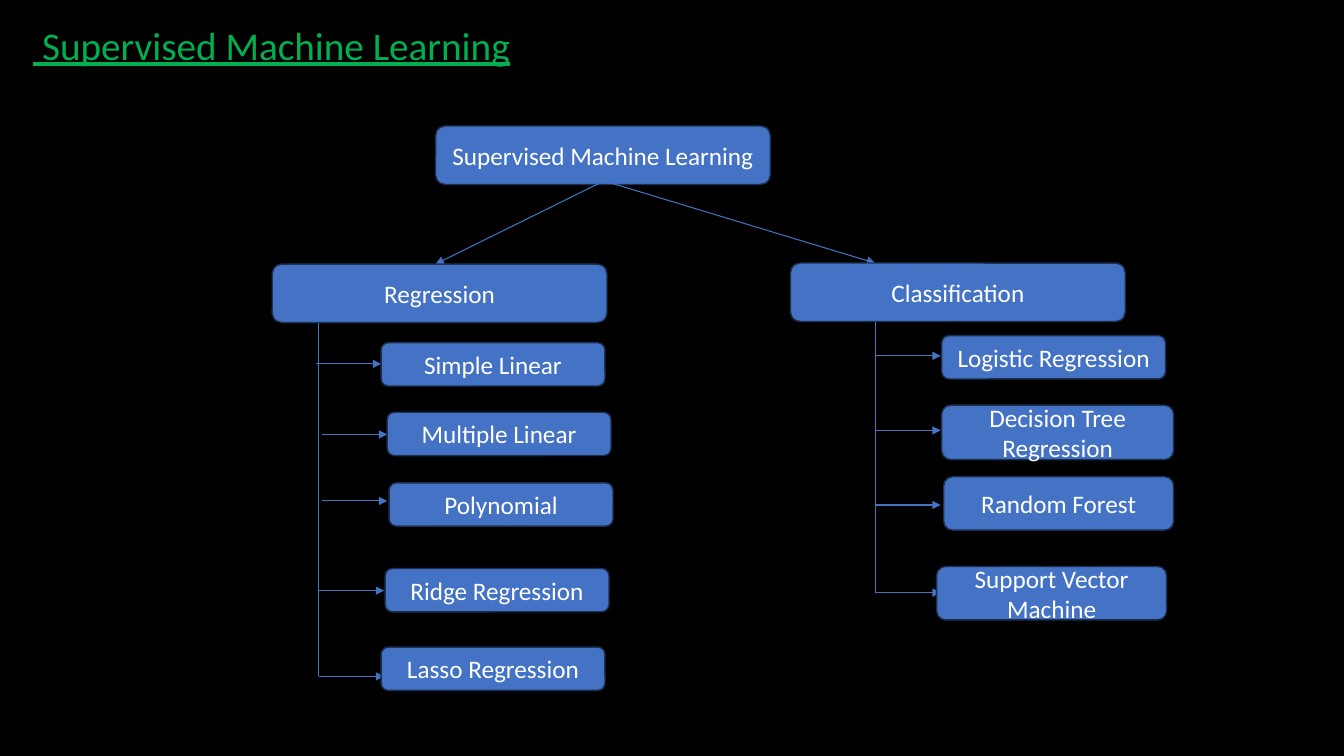
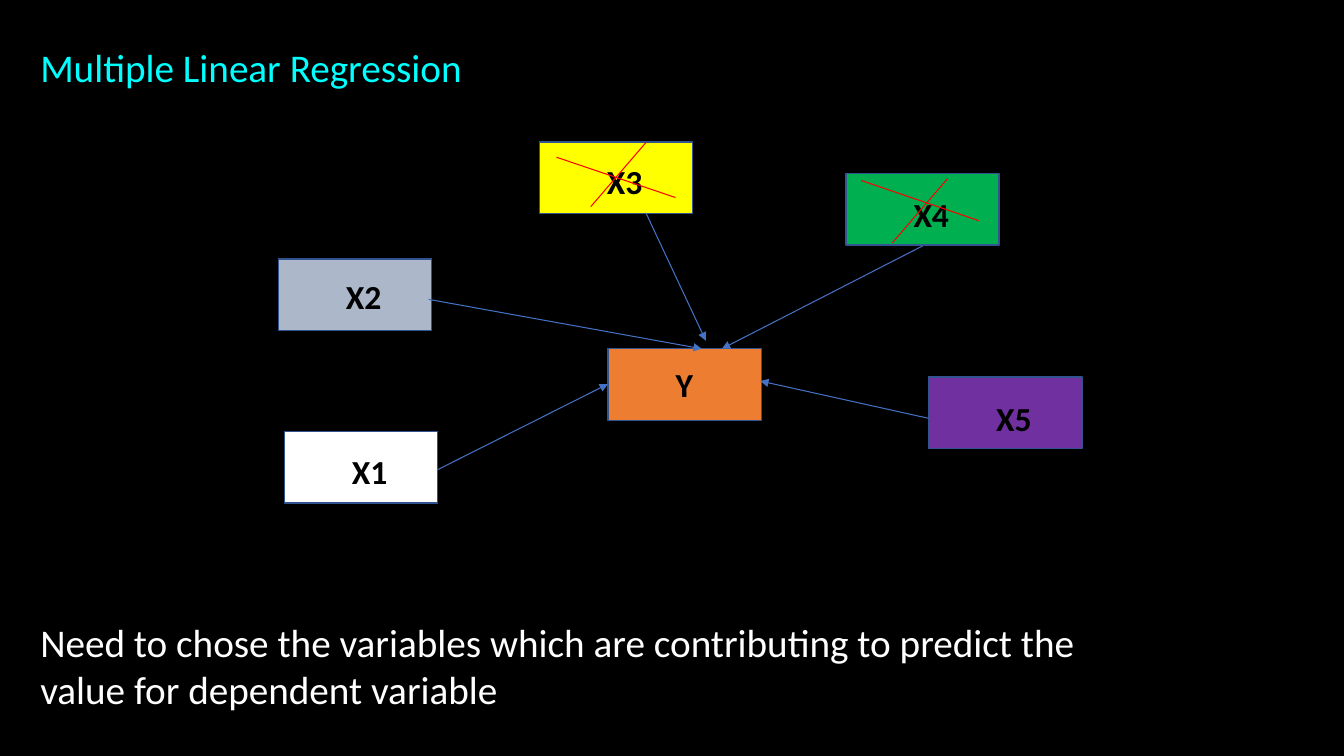
from dataclasses import dataclass

from lxml import etree
from pptx import Presentation
from pptx.dml.color import RGBColor
from pptx.enum.shapes import MSO_CONNECTOR, MSO_SHAPE
from pptx.enum.text import MSO_ANCHOR, PP_ALIGN
from pptx.oxml.ns import qn
from pptx.shapes.autoshape import Shape
from pptx.slide import Slide
from pptx.text.text import TextFrame
from pptx.util import Inches, Pt

ROUND, RECT = MSO_SHAPE.ROUNDED_RECTANGLE, MSO_SHAPE.RECTANGLE
STRAIGHT = MSO_CONNECTOR.STRAIGHT
TOP, MIDDLE = MSO_ANCHOR.TOP, MSO_ANCHOR.MIDDLE
LEFT, CENTER = PP_ALIGN.LEFT, PP_ALIGN.CENTER

FONT = "Calibri"
BLACK, WHITE, BLUE, RED = "000000", "FFFFFF", "4472C4", "FF0000"
GREEN, CYAN = "00B050", "00FFFF"
NODE_EDGE, CARD_EDGE = "1C3052", "31538F"
TITLE_SIZE = 28

HEAD_W, HEAD_H = 3.32, 0.58
LEAF_W, LEAF_H = 2.22, 0.43
TWIG = 0.65
CARD_W, CARD_H, CARD_PAD = 1.52, 0.71, 0.67


@dataclass(frozen=True)
class Leaf:
    """A tree box and the start of the arrow that points to it."""
    text: str
    left: float
    top: float
    start: float
    level: float
    width: float = LEAF_W
    height: float = LEAF_H


@dataclass(frozen=True)
class Branch:
    text: str
    left: float
    top: float
    tip: float
    fork: float
    trunk: float
    leaves: tuple[Leaf, ...]


@dataclass(frozen=True)
class Card:
    """A variable box; drop is the space above its label."""
    text: str
    left: float
    top: float
    fill: str
    drop: float


@dataclass(frozen=True)
class Line:
    x1: float
    y1: float
    x2: float
    y2: float


ROOT = (4.32, 1.25)
FORK = 1.81
BRANCHES = (
    Branch("Regression", 2.7, 2.62, 4.32, 5.96, 3.16, (
        Leaf("Simple Linear", 3.78, 3.4, 3.13, 3.61),
        Leaf("Multiple Linear", 3.84, 4.09, 3.19, 4.31),
        Leaf("Polynomial", 3.86, 4.79, 3.19, 4.97),
        Leaf("Ridge Regression", 3.82, 5.64, 3.16, 5.86),
        Leaf("Lasso Regression", 3.78, 6.42, 3.16, 6.71),
    )),
    Branch("Classification", 7.84, 2.61, 8.68, 6.04, 8.68, (
        Leaf("Logistic Regression", 9.34, 3.33, 8.68, 3.53),
        Leaf("Decision Tree Regression", 9.34, 4.02, 8.68, 4.27, 2.3, 0.54),
        Leaf("Random Forest", 9.36, 4.73, 8.68, 5.01, 2.28, 0.53),
        Leaf("Support Vector Machine", 9.29, 5.62, 8.68, 5.88, 2.28, 0.53),
    )),
)

CARDS = (
    Card("X2", 2.76, 2.57, "ACB8CA", 0.17),
    Card("Y", 6.03, 3.46, "ED7D31", 0.15),
    Card("X5", 9.21, 3.74, "7030A0", 0.21),
    Card("X4", 8.39, 1.72, GREEN, 0.2),
    Card("X3", 5.35, 1.41, "FFFF00", 0.19),
    Card("X1", 2.82, 4.28, WHITE, 0.19),
)
ARROWS = (
    Line(9.15, 2.44, 7.16, 3.46),
    Line(6.41, 2.12, 7, 3.38),
    Line(4.25, 2.97, 6.96, 3.46),
    Line(4.34, 4.66, 6.03, 3.81),
    Line(9.21, 4.15, 7.54, 3.78),
)
STRIKES = (
    Line(8.54, 1.79, 9.71, 2.19),
    Line(6.41, 1.41, 5.86, 2.05),
    Line(9.4, 1.77, 8.85, 2.41),
    Line(5.52, 1.56, 6.7, 1.96),
)


def rgb(code: str) -> RGBColor:
    return RGBColor.from_string(code)


def pad(frame: TextFrame, x: float, y: float) -> None:
    """Set the side and the top and bottom insets."""
    frame.margin_left = frame.margin_right = Inches(x)
    frame.margin_top = frame.margin_bottom = Inches(y)


def write(frame: TextFrame, text: str, size: int, color: str,
          bold: bool = False, line: bool = False) -> None:
    """Add one run to the first paragraph; line underlines it."""
    run = frame.paragraphs[0].add_run()
    run.text = text
    font = run.font
    font.name, font.size, font.bold = FONT, Pt(size), bold
    font.underline = line
    font.color.rgb = rgb(color)


def add_text(slide: Slide, text: str, left: float, top: float, width: float,
             height: float, color: str, line: bool = False) -> TextFrame:
    box = slide.shapes.add_textbox(
        Inches(left), Inches(top), Inches(width), Inches(height))
    frame = box.text_frame
    frame.word_wrap = True
    pad(frame, 0, 0)
    write(frame, text, TITLE_SIZE, color, line=line)
    return frame


def add_box(slide: Slide, kind: MSO_SHAPE, left: float, top: float,
            width: float, height: float, fill: str, edge: str) -> Shape:
    box = slide.shapes.add_shape(
        kind, Inches(left), Inches(top), Inches(width), Inches(height))
    box.shadow.inherit = False
    box.fill.solid()
    box.fill.fore_color.rgb = rgb(fill)
    box.line.color.rgb = rgb(edge)
    box.line.width = Pt(1)
    box.text_frame.word_wrap = True
    return box


def add_node(slide: Slide, text: str, left: float, top: float,
             width: float = HEAD_W, height: float = HEAD_H) -> None:
    box = add_box(slide, ROUND, left, top, width, height, BLUE, NODE_EDGE)
    frame = box.text_frame
    pad(frame, 0.1, 0.05)
    frame.vertical_anchor = MIDDLE
    frame.paragraphs[0].alignment = CENTER
    write(frame, text, 18, WHITE)


def add_card(slide: Slide, card: Card) -> None:
    box = add_box(slide, RECT, card.left, card.top, CARD_W, CARD_H,
                  card.fill, CARD_EDGE)
    frame = box.text_frame
    pad(frame, 0, 0)
    frame.margin_left = Inches(CARD_PAD)
    frame.margin_top = Inches(card.drop)
    frame.vertical_anchor = TOP
    frame.paragraphs[0].alignment = LEFT
    write(frame, card.text, 24, BLACK, bold=True)


def add_line(slide: Slide, line: Line, color: str = BLUE,
             arrow: bool = True) -> None:
    link = slide.shapes.add_connector(
        STRAIGHT, Inches(line.x1), Inches(line.y1),
        Inches(line.x2), Inches(line.y2))
    link.line.color.rgb = rgb(color)
    link.line.width = Pt(0.75)
    if arrow:
        stroke = link.line._get_or_add_ln()
        etree.SubElement(stroke, qn("a:tailEnd"), type="triangle")
    etree.SubElement(link._element.spPr, qn("a:effectLst"))


def add_branch(slide: Slide, branch: Branch) -> None:
    """Draw a head box, its trunk and its leaves."""
    add_line(slide, Line(branch.fork, FORK, branch.tip, branch.top))
    add_node(slide, branch.text, branch.left, branch.top)
    trunk, end = branch.trunk, branch.leaves[-1].level
    add_line(slide, Line(trunk, branch.top + HEAD_H, trunk, end), arrow=False)
    for leaf in branch.leaves:
        add_line(slide, Line(leaf.start, leaf.level,
                             leaf.start + TWIG, leaf.level))
        add_node(slide, leaf.text, leaf.left, leaf.top,
                 leaf.width, leaf.height)


def draw_tree(slide: Slide) -> None:
    title = add_text(slide, " Supervised Machine Learning",
                     0.33, 0.26, 12.42, 0.5, GREEN, line=True)
    title.paragraphs[0].line_spacing = 0.9
    add_node(slide, "Supervised Machine Learning", *ROOT)
    for branch in BRANCHES:
        add_branch(slide, branch)


def draw_model(slide: Slide) -> None:
    add_text(slide, "Multiple Linear Regression",
             0.4, 0.43, 10.94, 0.5, CYAN)
    add_text(slide, "Need to chose the variables which are contributing to "
             "predict the value for dependent variable",
             0.4, 6.13, 10.94, 0.95, WHITE)
    for card in CARDS:
        add_card(slide, card)
    for line in ARROWS:
        add_line(slide, line)
    for line in STRIKES:
        add_line(slide, line, RED, arrow=False)


def main() -> None:
    deck = Presentation()
    deck.slide_width, deck.slide_height = Inches(13.33), Inches(7.5)
    back = deck.slide_master.background.fill
    back.solid()
    back.fore_color.rgb = rgb(BLACK)
    blank = deck.slide_layouts[6]
    for draw in (draw_tree, draw_model):
        draw(deck.slides.add_slide(blank))
    deck.save("out.pptx")


if __name__ == "__main__":
    main()
